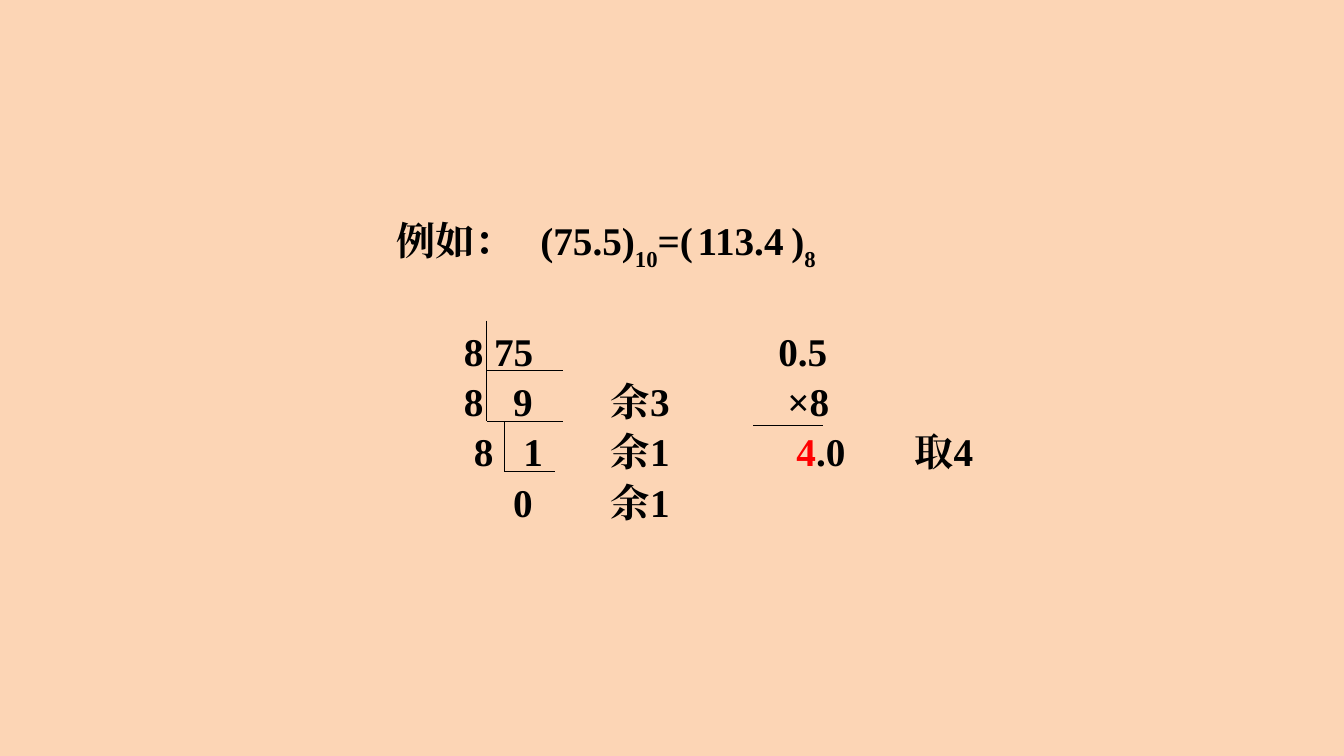
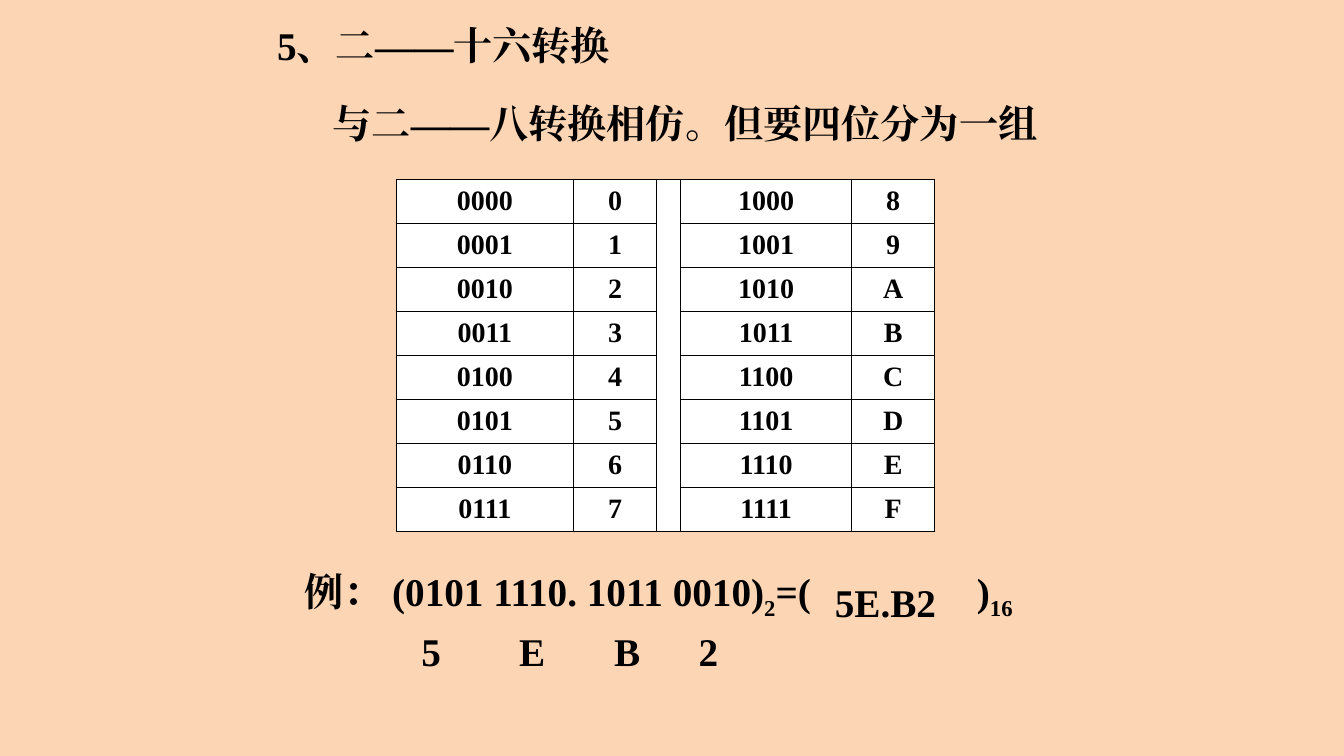
from pptx import Presentation
from pptx.dml.color import RGBColor
from pptx.enum.shapes import MSO_CONNECTOR
from pptx.enum.text import MSO_ANCHOR, PP_ALIGN
from pptx.oxml.ns import qn
from pptx.util import Inches, Pt
from lxml.etree import SubElement

PEACH = RGBColor(0xFC, 0xD5, 0xB5)
BLACK = RGBColor(0, 0, 0)
WHITE = RGBColor(0xFF, 0xFF, 0xFF)
RED = RGBColor(0xFF, 0, 0)
FONT = "Times New Roman"
LINE_PITCH = 36

# A line is a list of (x in inches, spans); a span is text or (text, format).
SUB_30 = {"baseline": -30}
SUB_25 = {"baseline": -25}

OCTAL_HEADING = [[
    (3.93, ["例如："]),
    (5.36, ["(75.5)", ("10", SUB_30), "=("]),
    (6.92, ["113.4"]),
    (7.85, [")", ("8", SUB_30)]),
]]
OCTAL_WORK = [
    [(4.6, ["8"]), (4.9, ["75"]), (7.72, ["0.5"])],
    [(4.6, ["8"]), (5.09, ["9"]), (6.06, ["余3"]), (7.81, ["×8"])],
    [(4.7, ["8"]), (5.19, ["1"]), (6.06, ["余1"]),
     (7.9, [("4", {"color": RED}), ".0"]), (9.07, ["取4"])],
    [(5.09, ["0"]), (6.06, ["余1"])],
]
# Division brackets: left, right, top, bottom
BRACKETS = [
    (4.83, 5.58, 3.18, 3.68),
    (4.83, 5.58, 3.68, 4.18),
    (5.0, 5.5, 4.18, 4.68),
]
PRODUCT_RULE = (7.47, 4.22, 8.16, 4.22)

HEX_TITLE = [[(2.75, ["5、二——十六转换"])]]
HEX_RULE = [[(3.3, ["与二——八转换相仿。但要四位分为一组"])]]
HEX_EXAMPLE = [
    [(3.02, ["例："]),
     (3.89, ["(0101 1110. 1011 0010)", ("2", SUB_25), "=("]),
     (9.69, [")", ("16", SUB_25)])],
    [(4.18, ["5"]), (5.15, ["E"]), (6.09, ["B"]), (6.93, ["2"])],
]
HEX_ANSWER = [[(8.28, ["5E.B2"])]]
HEX_DIGITS = "0123456789ABCDEF"
TABLE_COLUMNS = [1.76, 0.82, 0.24, 1.7, 0.82]
TABLE_ROW = 3.49 / 8


def add_page(deck):
    page = deck.slides.add_slide(deck.slide_layouts[6])
    page.background.fill.solid()
    page.background.fill.fore_color.rgb = PEACH
    return page


def add_span(para, text, size=28, color=BLACK, baseline=0):
    span = para.add_run()
    span.text = text
    font = span.font
    font.name, font.size, font.bold = FONT, Pt(size), True
    font.color.rgb = color
    properties = span._r.get_or_add_rPr()
    SubElement(properties, qn("a:ea"), typeface=FONT)
    if baseline:
        properties.set("baseline", str(baseline * 1000))


def add_text(page, lines, top, width=8, gap=0):
    """Write lines whose fields start at fixed places, held by tab stops."""
    left = min(fields[0][0] for fields in lines)
    height = LINE_PITCH / 72 * len(lines)
    box = page.shapes.add_textbox(Inches(left), Inches(top), Inches(width), Inches(height))
    frame = box.text_frame
    frame.word_wrap = True
    frame.margin_left = frame.margin_right = frame.margin_top = frame.margin_bottom = 0
    for index, fields in enumerate(lines):
        para = frame.add_paragraph() if index else frame.paragraphs[0]
        para.line_spacing = Pt(LINE_PITCH)
        if index and gap:
            para.space_before = Pt(gap)
        stops = [x for x, _ in fields if x > left]
        if stops:
            tabs = SubElement(para._p.get_or_add_pPr(), qn("a:tabLst"))
            for x in stops:
                SubElement(tabs, qn("a:tab"), pos=str(Inches(x - left)), algn="l")
        for x, spans in fields:
            if x > left:
                add_span(para, "\t")
            for span in spans:
                text, style = (span, {}) if isinstance(span, str) else span
                add_span(para, text, **style)


def add_line(page, x1, y1, x2, y2):
    line = page.shapes.add_connector(
        MSO_CONNECTOR.STRAIGHT, Inches(x1), Inches(y1), Inches(x2), Inches(y2))
    line.line.color.rgb = BLACK
    line.line.width = Pt(0.75)
    SubElement(line._element.spPr, qn("a:effectLst"))


def style_cell(cell):
    properties = cell._tc.get_or_add_tcPr()
    for side in ("lnL", "lnR", "lnT", "lnB"):
        border = SubElement(properties, qn(f"a:{side}"), w=str(Pt(1)))
        fill = SubElement(border, qn("a:solidFill"))
        SubElement(fill, qn("a:srgbClr"), val=str(BLACK))
    cell.fill.solid()
    cell.fill.fore_color.rgb = WHITE
    cell.vertical_anchor = MSO_ANCHOR.MIDDLE


def add_hex_table(page):
    table = page.shapes.add_table(
        8, len(TABLE_COLUMNS), Inches(3.93), Inches(1.78),
        Inches(sum(TABLE_COLUMNS)), Inches(TABLE_ROW * 8)).table
    table.first_row = table.horz_banding = False
    for column, width in zip(table.columns, TABLE_COLUMNS):
        column.width = Inches(width)
    for row in table.rows:
        row.height = Inches(TABLE_ROW)
    for cell in table.iter_cells():
        style_cell(cell)
    for value, digit in enumerate(HEX_DIGITS):
        half, row = divmod(value, 8)
        for offset, text in enumerate((f"{value:04b}", digit)):
            para = table.cell(row, half * 3 + offset).text_frame.paragraphs[0]
            para.alignment = PP_ALIGN.CENTER
            add_span(para, text, size=20)
    table.cell(0, 2).merge(table.cell(7, 2))


def build_octal_page(deck):
    page = add_page(deck)
    add_text(page, OCTAL_HEADING, 2.2)
    add_text(page, OCTAL_WORK, 3.21)
    for left, right, top, bottom in BRACKETS:
        add_line(page, left, top, left, bottom)
        add_line(page, left, bottom, right, bottom)
    add_line(page, *PRODUCT_RULE)


def build_hex_page(deck):
    page = add_page(deck)
    add_text(page, HEX_TITLE, 0.18)
    add_text(page, HEX_RULE, 0.95)
    add_hex_table(page)
    add_text(page, HEX_EXAMPLE, 5.66, gap=2)
    add_text(page, HEX_ANSWER, 5.7, width=1.25)


def main():
    deck = Presentation()
    deck.slide_width, deck.slide_height = Inches(13.33), Inches(7.5)
    build_octal_page(deck)
    build_hex_page(deck)
    deck.save("out.pptx")


if __name__ == "__main__":
    main()
